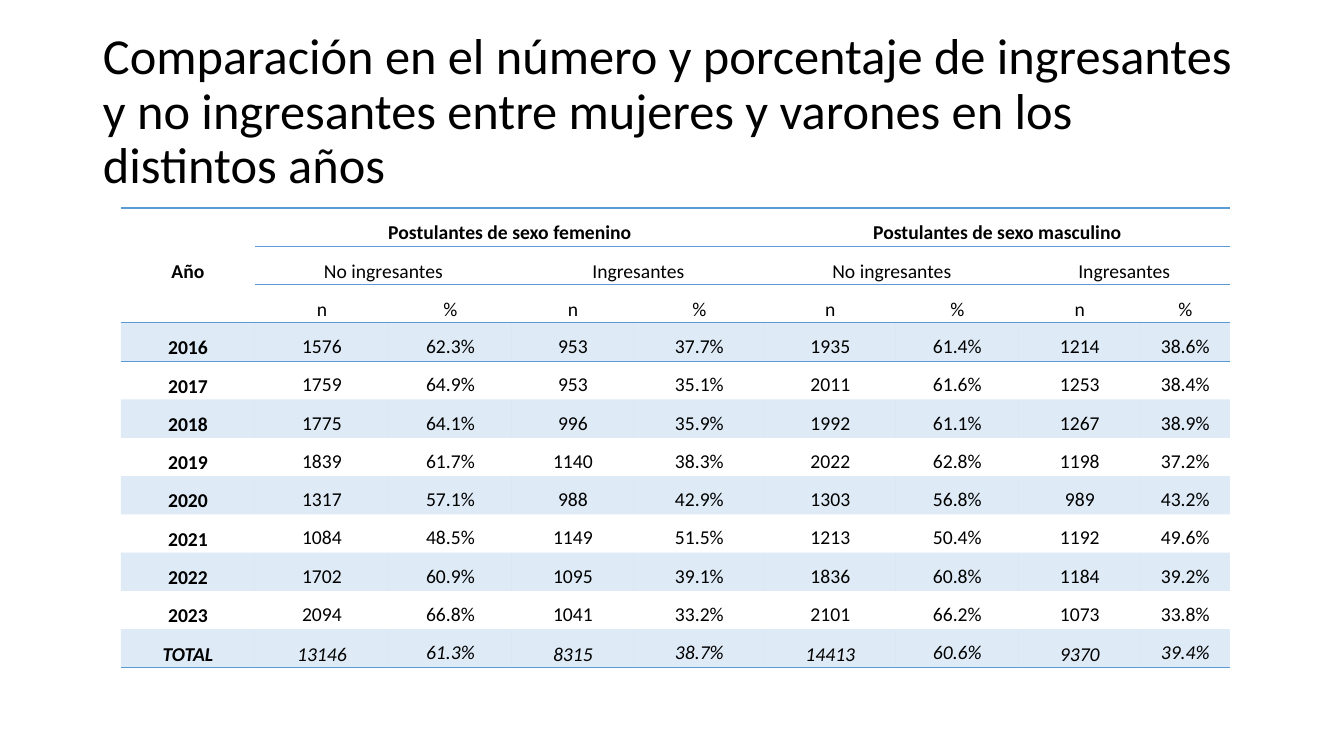
from lxml import etree
from pptx import Presentation
from pptx.dml.color import RGBColor
from pptx.enum.text import MSO_ANCHOR, PP_ALIGN
from pptx.oxml.ns import qn
from pptx.util import Pt

MIDDLE, TOP = MSO_ANCHOR.MIDDLE, MSO_ANCHOR.TOP
LEFT, CENTER = PP_ALIGN.LEFT, PP_ALIGN.CENTER
SCALE = 12192000 / 1344
PLAIN = "{2D5ABB26-0587-4C30-8999-92F81FD0307C}"
BLUE, WHITE, BLACK = "5B9BD5", "FFFFFF", "000000"

TITLE = ("Comparación en el número y porcentaje de ingresantes y no ingresantes "
         "entre mujeres y varones en los distintos años")
WIDTHS = [134, 134, 123, 122, 131, 131, 123, 122, 89]
HEADS = [
    ["Año"] + [f"Postulantes de sexo {sex}" for sex in ("femenino", "masculino")],
    ["No ingresantes", "Ingresantes"] * 2,
    ["n", "%"] * 4,
]
DATA = [
    ("2016", 1576, 62.3, 953, 37.7, 1935, 61.4, 1214, 38.6),
    ("2017", 1759, 64.9, 953, 35.1, 2011, 61.6, 1253, 38.4),
    ("2018", 1775, 64.1, 996, 35.9, 1992, 61.1, 1267, 38.9),
    ("2019", 1839, 61.7, 1140, 38.3, 2022, 62.8, 1198, 37.2),
    ("2020", 1317, 57.1, 988, 42.9, 1303, 56.8, 989, 43.2),
    ("2021", 1084, 48.5, 1149, 51.5, 1213, 50.4, 1192, 49.6),
    ("2022", 1702, 60.9, 1095, 39.1, 1836, 60.8, 1184, 39.2),
    ("2023", 2094, 66.8, 1041, 33.2, 2101, 66.2, 1073, 33.8),
    ("TOTAL", 13146, 61.3, 8315, 38.7, 14413, 60.6, 9370, 39.4),
]
LAST = len(HEADS) + len(DATA) - 1


def px(count):
    """Turn pixels into EMU."""
    return round(count * SCALE)


def color(code):
    """Turn a hex string into a colour."""
    return RGBColor.from_string(code)


class Deck:
    """Hold the style and the current slide."""

    def __init__(self, font):
        """Open a deck with one blank slide."""
        self.font = font
        self.file = Presentation()
        self.file.slide_width, self.file.slide_height = px(1344), px(756)
        self.slide = self.file.slides.add_slide(self.file.slide_layouts[6])

    def label(self, para, text, size, align, space, bold=False, slant=False):
        """Fill and style one paragraph."""
        para.text, para.alignment, para.line_spacing = text, align, space
        font = para.font
        font.name, font.size, font.bold, font.italic = self.font, Pt(size), bold, slant
        font.color.rgb = color(BLACK)

    def title(self, text, left, top, width, height):
        """Add the heading."""
        frame = self.slide.shapes.add_textbox(
            px(left), px(top), px(width), px(height)).text_frame
        frame.word_wrap, frame.vertical_anchor = True, MIDDLE
        self.label(frame.paragraphs[0], text, 36, LEFT, 0.9)

    def table(self, rows, widths, left, top, height):
        """Add an unstyled table with equal rows."""
        frame = self.slide.shapes.add_table(
            rows, len(widths), px(left), px(top), px(sum(widths)), px(height))
        table = frame.table
        table.first_row = table.horz_banding = False
        frame._element.find(".//" + qn("a:tableStyleId")).text = PLAIN
        for column, width in zip(table.columns, widths):
            column.width = px(width)
        return table

    def cell(self, cell, text, anchor=MIDDLE, bold=False, slant=False):
        """Set the text of one table cell."""
        cell.margin_left = cell.margin_right = px(7)
        cell.margin_top = cell.margin_bottom = 0
        cell.vertical_anchor = anchor
        para = cell.text_frame.paragraphs[0]
        para.space_after = Pt(14)
        self.label(para, text, 14, CENTER, 1.5, bold, slant)

    def paint(self, cell, code=None, alpha=100):
        """Fill a cell, or leave it clear."""
        if code is None:
            cell.fill.background()
            return
        cell.fill.solid()
        cell.fill.fore_color.rgb = color(code)
        if alpha < 100:
            tint = cell._tc.tcPr.find(".//" + qn("a:srgbClr"))
            etree.SubElement(tint, qn("a:alpha"), val=str(alpha * 1000))

    def rule(self, cell, *sides):
        """Draw lines on the given sides, top before bottom."""
        for place, side in enumerate(sides):
            line = etree.Element(qn("a:ln" + side), w=str(Pt(1)))
            fill = etree.SubElement(line, qn("a:solidFill"))
            etree.SubElement(fill, qn("a:srgbClr"), val=BLUE)
            cell._tc.get_or_add_tcPr().insert(place, line)


def main():
    """Build the slide."""
    deck = Deck("Calibri")
    deck.title(TITLE, 93, 40, 1159, 146)
    table = deck.table(LAST + 1, WIDTHS, 121, 208, 460)

    table.cell(0, 0).merge(table.cell(2, 0))
    deck.cell(table.cell(0, 0), HEADS[0][0], bold=True)
    for row, names in enumerate((HEADS[0][1:], *HEADS[1:])):
        span = 8 // len(names)
        for place, name in enumerate(names):
            start = 1 + place * span
            cell = table.cell(row, start)
            if span > 1:
                cell.merge(table.cell(row, start + span - 1))
            deck.cell(cell, name, bold=row == 0)

    for row, (year, *values) in enumerate(DATA, len(HEADS)):
        total = row == LAST
        deck.cell(table.cell(row, 0), year, bold=True, slant=total)
        for col, value in enumerate(values, 1):
            share = col % 2 == 0
            anchor = MIDDLE if total and not share else TOP
            deck.cell(table.cell(row, col), f"{value}%" if share else str(value),
                      anchor, slant=total)

    for row in range(LAST + 1):
        for col in range(len(WIDTHS)):
            cell = table.cell(row, col)
            if row >= len(HEADS) and row % 2:
                deck.paint(cell, BLUE, 20)
            else:
                deck.paint(cell, WHITE if row in (1, 2) and col else None)
            sides = ["T"] if row in (0, 3) or (row in (1, 2) and col) else []
            if row in (2, LAST) or (row in (0, 1, 3) and col):
                sides.append("B")
            deck.rule(cell, *sides)

    deck.file.save("out.pptx")


if __name__ == "__main__":
    main()
